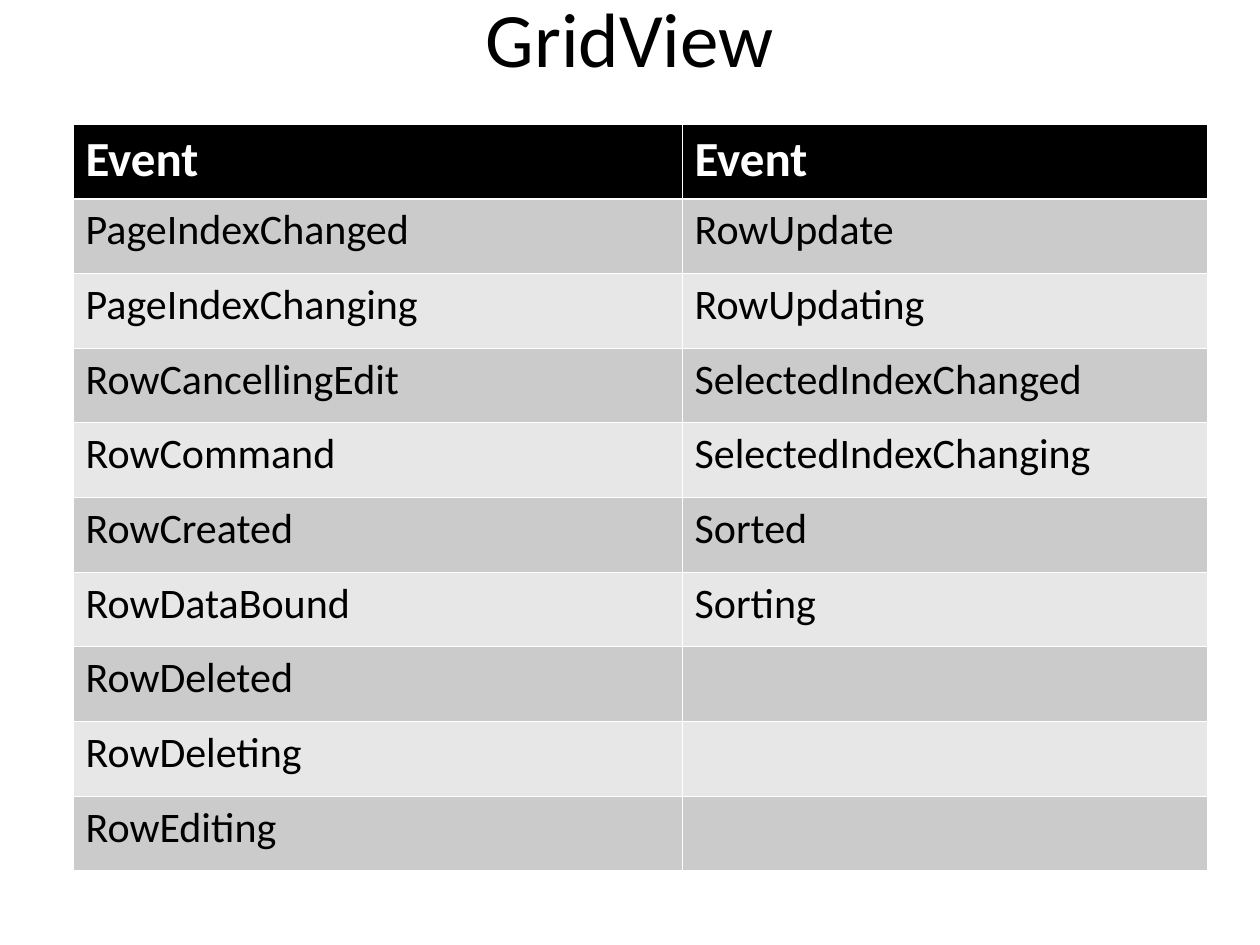
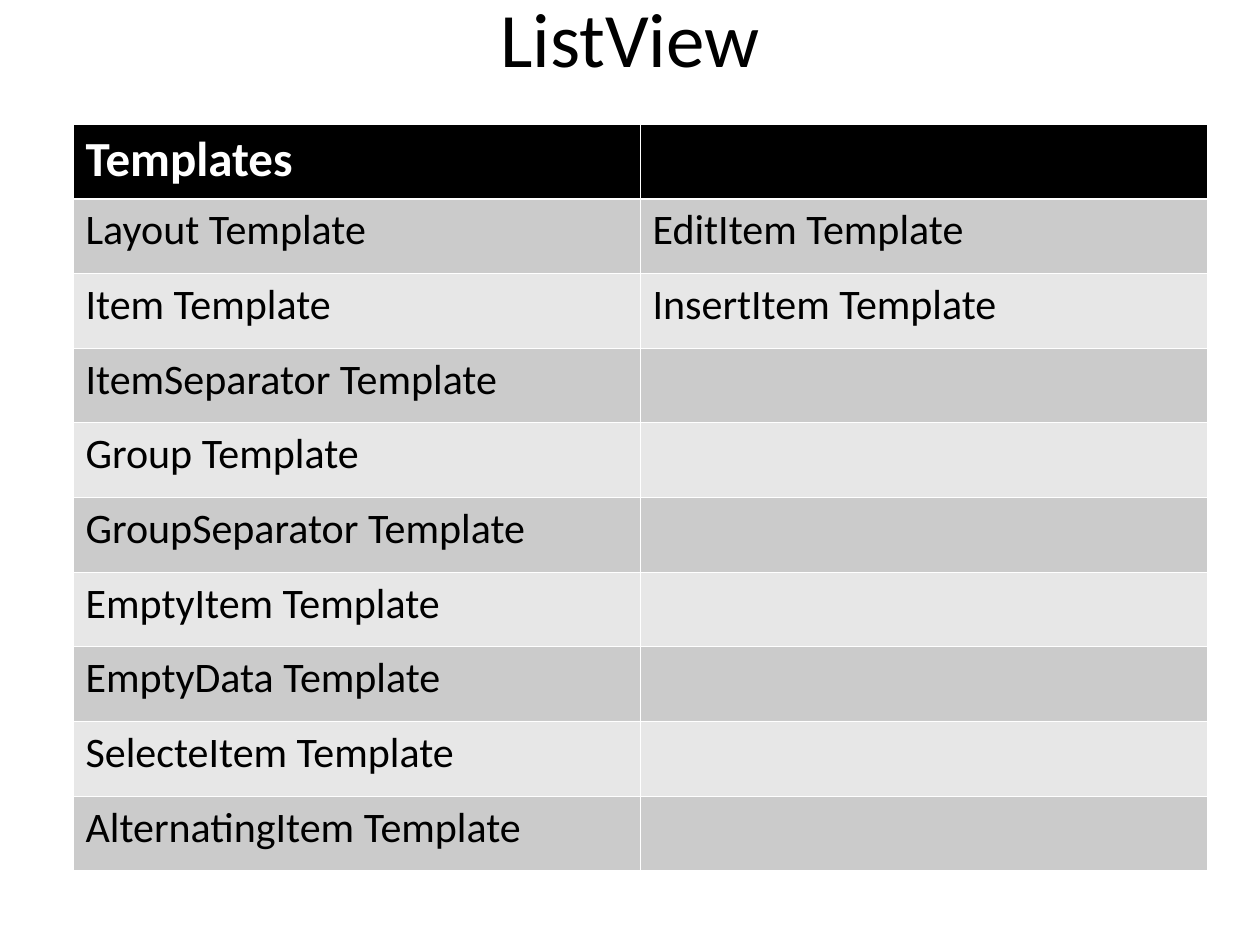
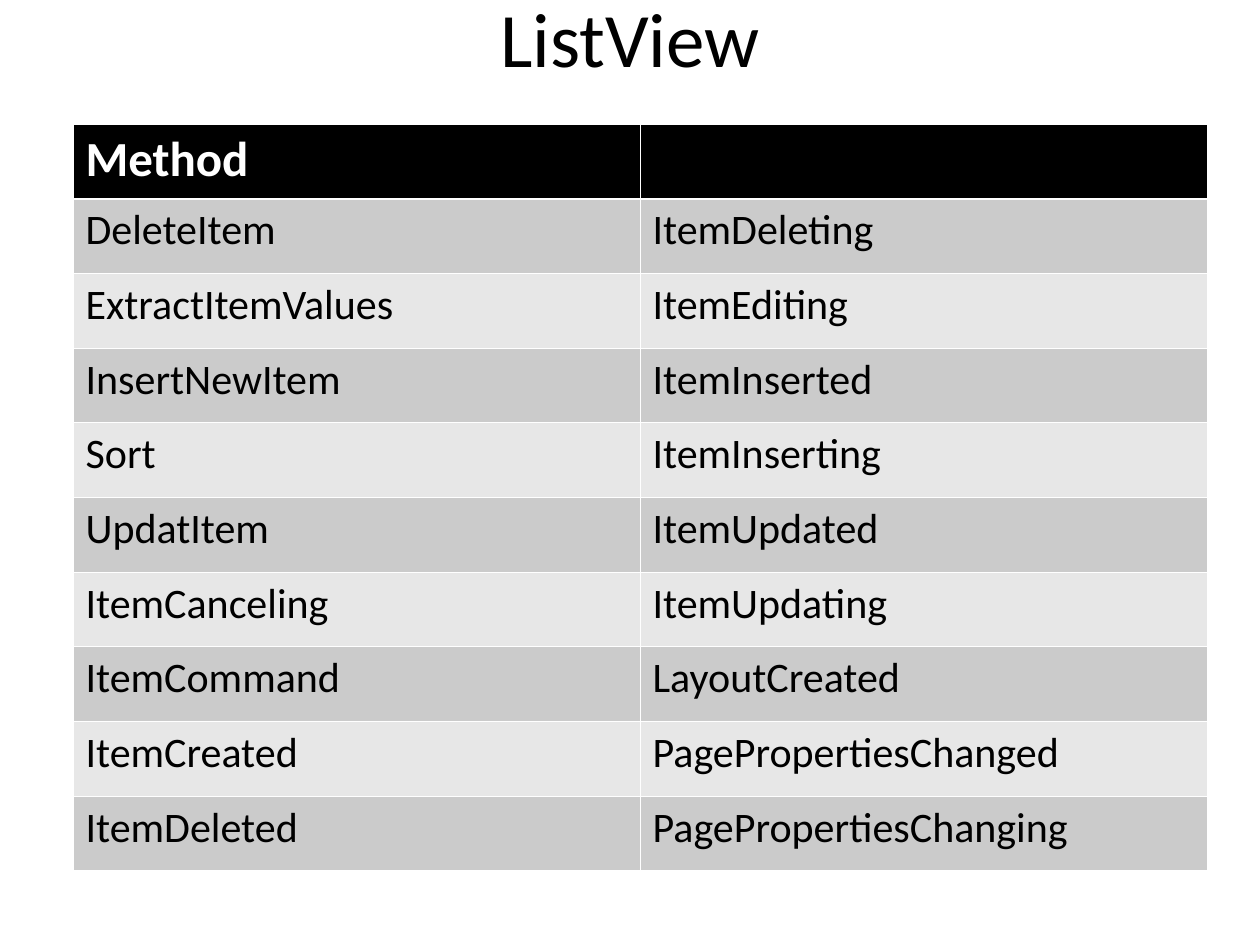
from dataclasses import dataclass
from itertools import zip_longest

from lxml import etree
from pptx import Presentation
from pptx import util as u
from pptx.dml.color import RGBColor
from pptx.enum import text
from pptx.oxml import ns

SCALE = 914400 / 126


def px(n):
    return u.Emu(round(n * SCALE))


@dataclass(frozen=True)
class Theme:
    font: str = "Calibri"
    ink: str = "000000"
    paper: str = "FFFFFF"
    bands: tuple = ("CBCBCB", "E7E7E7")
    title: int = 44
    head: int = 28
    body: int = 24
    thin: float = 0.45
    thick: float = 1.47


class Deck:
    def __init__(self, theme):
        self.theme = theme
        self.prs = Presentation()
        self.prs.slide_width, self.prs.slide_height = px(1260), px(945)
        self.slide = None

    def page(self):
        self.slide = self.prs.slides.add_slide(self.prs.slide_layouts[6])

    def run(self, para, words, size, color, bold=False):
        run = para.add_run()
        run.text = words
        font = run.font
        font.name, font.size, font.bold = self.theme.font, u.Pt(size), bold
        font.color.rgb = RGBColor.from_string(color)

    def title(self, words):
        box = self.slide.shapes.add_textbox(px(63), px(-42), px(1134), px(158))
        frame = box.text_frame
        frame.word_wrap = True
        frame.vertical_anchor = text.MSO_ANCHOR.MIDDLE
        para = frame.paragraphs[0]
        para.alignment = text.PP_ALIGN.CENTER
        self.run(para, words, self.theme.title, self.theme.ink)

    def edge(self, cell, side, width):
        props = cell._tc.get_or_add_tcPr()
        line = etree.SubElement(props, ns.qn(f"a:ln{side}"), w=str(u.Pt(width)))
        fill = etree.SubElement(line, ns.qn("a:solidFill"))
        etree.SubElement(fill, ns.qn("a:srgbClr"), val=self.theme.paper)

    def cell(self, cell, words, row):
        t = self.theme
        head = row == 0
        heavy = {0: "B", 1: "T"}.get(row)
        for side in "LRTB":
            self.edge(cell, side, t.thick if side == heavy else t.thin)
        cell.fill.solid()
        shade = t.ink if head else t.bands[(row - 1) % 2]
        cell.fill.fore_color.rgb = RGBColor.from_string(shade)
        if words:
            size, color = (t.head, t.paper) if head else (t.body, t.ink)
            self.run(cell.text_frame.paragraphs[0], words, size, color, head)

    def table(self, widths, lists):
        rows = list(zip_longest(*lists, fillvalue=""))
        grid = self.slide.shapes.add_table(
            len(rows), len(widths), px(73), px(124), px(sum(widths)), px(747)
        ).table
        for col, width in zip(grid.columns, widths):
            col.width = px(width)
        for r, row in enumerate(rows):
            for c, words in enumerate(row):
                self.cell(grid.cell(r, c), words, r)


PAGES = [
    ("GridView", (609, 525), (
        ["Event", "PageIndexChanged", "PageIndexChanging", "RowCancellingEdit",
         "RowCommand", "RowCreated", "RowDataBound", "RowDeleted",
         "RowDeleting", "RowEditing"],
        ["Event", "RowUpdate", "RowUpdating", "SelectedIndexChanged",
         "SelectedIndexChanging", "Sorted", "Sorting"],
    )),
    ("ListView", (567, 567), (
        ["Templates", "Layout Template", "Item Template",
         "ItemSeparator Template", "Group Template", "GroupSeparator Template",
         "EmptyItem Template", "EmptyData Template", "SelecteItem Template",
         "AlternatingItem Template"],
        ["", "EditItem Template", "InsertItem Template"],
    )),
    ("ListView", (567, 567), (
        ["Method", "DeleteItem", "ExtractItemValues", "InsertNewItem", "Sort",
         "UpdatItem", "ItemCanceling", "ItemCommand", "ItemCreated",
         "ItemDeleted"],
        ["", "ItemDeleting", "ItemEditing", "ItemInserted", "ItemInserting",
         "ItemUpdated", "ItemUpdating", "LayoutCreated",
         "PagePropertiesChanged", "PagePropertiesChanging"],
    )),
]


def main():
    deck = Deck(Theme())
    for title, widths, lists in PAGES:
        deck.page()
        deck.title(title)
        deck.table(widths, lists)
    deck.prs.save("out.pptx")


if __name__ == "__main__":
    main()
